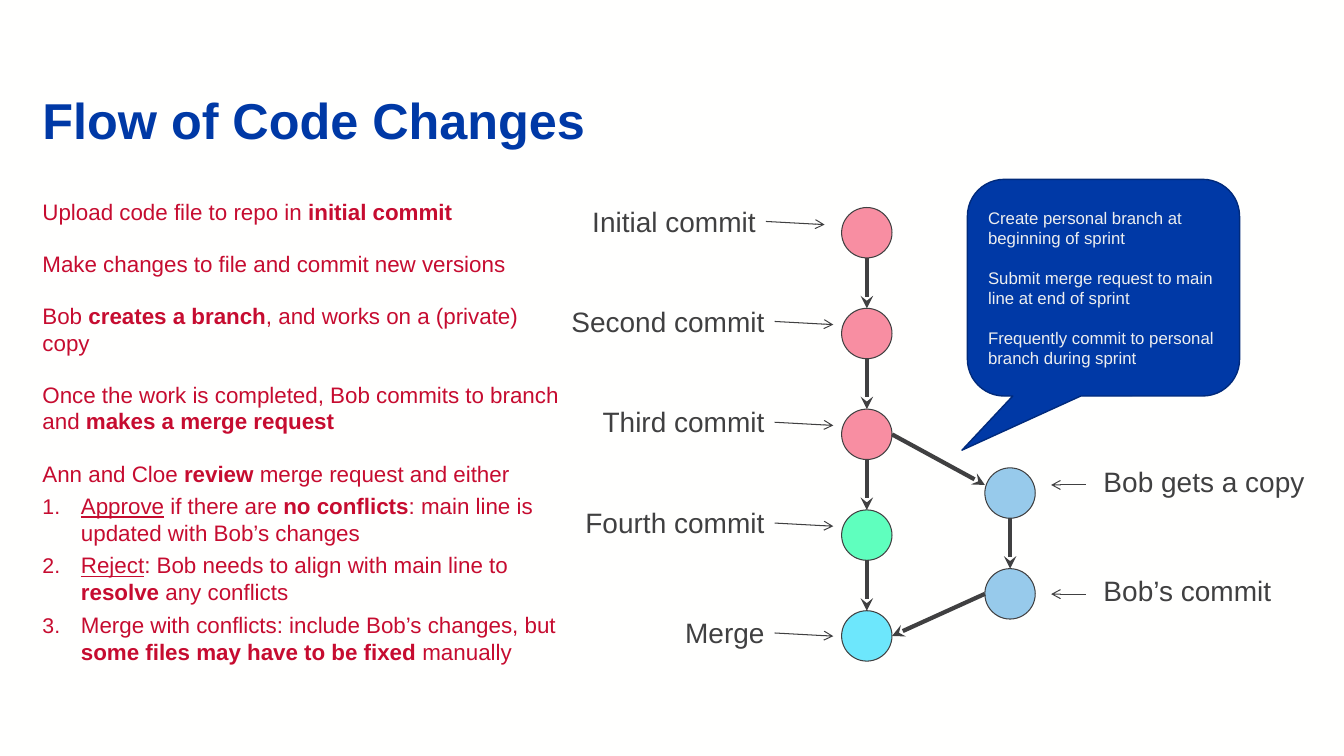
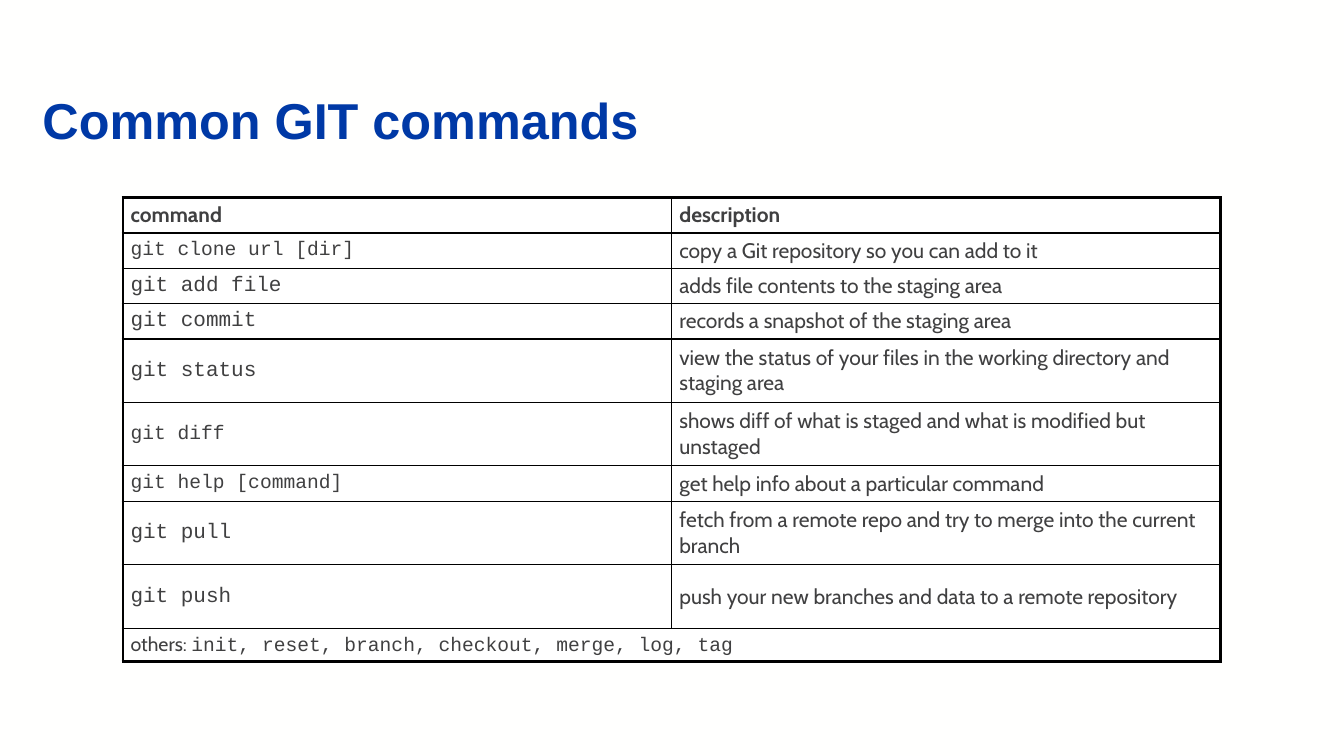
from typing import Any, NamedTuple

from lxml.etree import SubElement
from pptx import Presentation
from pptx.dml.color import RGBColor
from pptx.enum.shapes import MSO_CONNECTOR as Connector, MSO_SHAPE as Preset
from pptx.enum.text import MSO_ANCHOR as Anchor, MSO_AUTO_SIZE as AutoSize, PP_ALIGN as Align
from pptx.oxml.ns import qn
from pptx.util import Cm, Pt

PAPER = RGBColor(0xFF, 0xFF, 0xFE)
WHITE = RGBColor(0xFF, 0xFF, 0xFF)
BLACK = RGBColor(0x00, 0x00, 0x00)
BLUE = RGBColor(0x00, 0x39, 0xA6)
NAVY = RGBColor(0x00, 0x2A, 0x7B)
CRIMSON = RGBColor(0xC6, 0x0C, 0x30)
INK = RGBColor(0x40, 0x40, 0x41)
PALE = RGBColor(0xED, 0xEE, 0xEF)
PINK = RGBColor(0xF8, 0x8E, 0xA2)
GREEN = RGBColor(0x5F, 0xFF, 0xBE)
CYAN = RGBColor(0x6D, 0xE7, 0xFC)
SKY = RGBColor(0x97, 0xCA, 0xEB)

Format = dict[str, Any]
TITLE: Format = {"name": "Arial", "size": Pt(36), "bold": True, "color": BLUE}
BODY: Format = {"name": "Arial", "size": Pt(16), "color": CRIMSON}
LABEL: Format = {"name": "Arial", "size": Pt(20), "color": INK}
ADVICE: Format = {"name": "Arial", "size": Pt(12), "color": PALE}
CELL: Format = {"name": "Cabin", "size": Pt(15), "color": INK}
HEADING: Format = CELL | {"bold": True}
CODE: Format = CELL | {"name": "Courier New"}
BOLD: Format = {"bold": True}
UNDERLINE: Format = {"underline": True}
NO_MARGINS: Format = {f"margin_{side}": 0 for side in ("left", "top", "right", "bottom")}

LEFT_EDGE = 1.07
CONTENT_TOP = 4.98
DIAMETER = 1.27
RADIUS = DIAMETER / 2
STEP = 2.54
MAIN_LEFT, MAIN_TOP = 21.21, 5.23
BRANCH_LEFT, BRANCH_TOP = 24.82, 11.79
LABEL_HEIGHT = 1.12
THIN, THICK = 0.75, 3


class Span(NamedTuple):
    text: str
    style: Format = {}


class Item(NamedTuple):
    spans: list[Span]
    numbered: bool = False


class Commit(NamedTuple):
    label: str
    color: RGBColor
    label_edge: float
    label_width: float
    label_shift: float


class Command(NamedTuple):
    code: str
    description: str
    height: float = 0.89
    code_size: int = 15


class Point(NamedTuple):
    x: float
    y: float


STEPS = [
    Item([Span("Upload code file to repo in "), Span("initial commit", BOLD)]),
    Item([Span("Make changes to file and commit new versions")]),
    Item([Span("Bob "), Span("creates a branch", BOLD), Span(", and works on a (private) copy")]),
    Item([Span("Once the work is completed, Bob commits to branch and "),
          Span("makes a merge request", BOLD)]),
    Item([Span("Ann and Cloe "), Span("review", BOLD), Span(" merge request and either")]),
    Item([Span("Approve", UNDERLINE), Span(" if there are "), Span("no conflicts", BOLD),
          Span(": main line is updated with Bob’s changes")], True),
    Item([Span("Reject", UNDERLINE), Span(": Bob needs to align with main line to "),
          Span("resolve", BOLD), Span(" any conflicts")], True),
    Item([Span("Merge with conflicts: include Bob’s changes, but "),
          Span("some files may have to be fixed", BOLD), Span(" manually")], True),
]
MAIN_LINE = [
    Commit("Initial commit", PINK, 19.3, 5.92, -0.21),
    Commit("Second commit", PINK, 19.52, 6.14, -0.23),
    Commit("Third commit", PINK, 19.52, 6.14, -0.23),
    Commit("Fourth commit", GREEN, 19.52, 6.14, -0.23),
    Commit("Merge", CYAN, 19.52, 2.97, 0),
]
BRANCH = [
    Commit("Bob gets a copy", SKY, 27.56, 5.61, -0.21),
    Commit("Bob’s commit", SKY, 27.56, 4.78, 0),
]
SPRINT_ADVICE = [
    "Create personal branch at beginning of sprint",
    "Submit merge request to main line at end of sprint",
    "Frequently commit to personal branch during sprint",
]
COMMANDS = [
    Command("git clone url [dir]", "copy a Git repository so you can add to it", code_size=14),
    Command("git add file", "adds file contents to the staging area"),
    Command("git commit", "records a snapshot of the staging area"),
    Command("git status",
            "view the status of your files in the working directory and staging area", 1.6),
    Command("git diff", "shows diff of what is staged and what is modified but unstaged", 1.6, 14),
    Command("git help [command]", "get help info about a particular command", code_size=14),
    Command("git pull", "fetch from a remote repo and try to merge into the current branch", 1.6),
    Command("git push", "push your new branches and data to a remote repository", 1.6),
]


def set_values(target: Any, values: Format) -> None:
    for name, value in values.items():
        if name == "color":
            target.color.rgb = value
        else:
            setattr(target, name, value)


def place(shape: Any, left: float, top: float, width: float, height: float) -> None:
    box = {"left": left, "top": top, "width": width, "height": height}
    set_values(shape, {name: Cm(value) for name, value in box.items()})


def write(para: Any, spans: list[Span], base: Format) -> None:
    for span in spans:
        run = para.add_run()
        run.text = span.text
        set_values(run.font, base | span.style)


def add_para(frame: Any, position: int) -> Any:
    return frame.add_paragraph() if position else frame.paragraphs[0]


def add_page(deck: Any, layout: int, title: str) -> Any:
    page = deck.slides.add_slide(deck.slide_layouts[layout])
    place(page.shapes.title, LEFT_EDGE, 2.39, 31.75, 1.4)
    frame = page.shapes.title.text_frame
    set_values(frame, NO_MARGINS | {"vertical_anchor": Anchor.BOTTOM, "auto_size": AutoSize.NONE})
    para = frame.paragraphs[0]
    set_values(para, {"alignment": Align.LEFT, "line_spacing": 0.9})
    write(para, [Span(title)], TITLE)
    return page


def set_bullet(para: Any, numbered: bool) -> None:
    properties = para._p.get_or_add_pPr()
    indent = Cm(0.97) if numbered else 0
    properties.set("marL", str(indent))
    properties.set("indent", str(-indent))
    if numbered:
        SubElement(properties, qn("a:buSzPct"), val="95000")
        SubElement(properties, qn("a:buFont"), typeface="+mj-lt")
        SubElement(properties, qn("a:buAutoNum"), type="arabicPeriod")
    else:
        SubElement(properties, qn("a:buNone"))


def add_steps(page: Any) -> None:
    body = page.placeholders[1]
    place(body, LEFT_EDGE, CONTENT_TOP, 13.16, 11.99)
    set_values(body.text_frame, NO_MARGINS | {"auto_size": AutoSize.NONE})
    for position, item in enumerate(STEPS):
        para = add_para(body.text_frame, position)
        set_bullet(para, item.numbered)
        gap = 4 if item.numbered else 18
        set_values(para, {"space_before": Pt(gap if position else 0), "alignment": Align.LEFT})
        write(para, item.spans, BODY)


def add_shape(page: Any, preset: Any, left: float, top: float, width: float, height: float,
              fill: RGBColor, outline: RGBColor, weight: float) -> Any:
    shape = page.shapes.add_shape(preset, Cm(left), Cm(top), Cm(width), Cm(height))
    shape.shadow.inherit = False
    shape.fill.solid()
    shape.fill.fore_color.rgb = fill
    set_values(shape.line, {"color": outline, "width": Pt(weight)})
    return shape


def add_arrow(page: Any, start: Point, end: Point, weight: float, head: str) -> None:
    arrow = page.shapes.add_connector(
        Connector.STRAIGHT, Cm(start.x), Cm(start.y), Cm(end.x), Cm(end.y))
    set_values(arrow.line, {"color": INK, "width": Pt(weight)})
    properties = arrow._element.spPr
    SubElement(properties.find(qn("a:ln")), qn("a:tailEnd"), type=head)
    SubElement(properties, qn("a:effectLst"))


def add_label(page: Any, commit: Commit, top: float, on_left: bool) -> None:
    label_top = top + commit.label_shift
    left = commit.label_edge - (commit.label_width if on_left else 0)
    box = page.shapes.add_textbox(
        Cm(left), Cm(label_top), Cm(commit.label_width), Cm(LABEL_HEIGHT))
    set_values(box.text_frame, {"word_wrap": on_left, "auto_size": AutoSize.SHAPE_TO_FIT_TEXT})
    para = box.text_frame.paragraphs[0]
    para.alignment = Align.RIGHT if on_left else Align.LEFT
    write(para, [Span(commit.label)], LABEL)
    if on_left:
        start = Point(commit.label_edge, label_top + 0.56)
        end = Point(start.x + 1.48, start.y + 0.08)
    else:
        start = Point(commit.label_edge - 0.2, label_top + 0.64)
        end = Point(start.x - 0.87, start.y)
    add_arrow(page, start, end, THIN, "arrow")


def add_line_of_commits(page: Any, commits: list[Commit], left: float, first_top: float,
                        labels_on_left: bool) -> None:
    for position, commit in enumerate(commits):
        top = first_top + position * STEP
        add_shape(page, Preset.OVAL, left, top, DIAMETER, DIAMETER, commit.color, INK, THIN)
        add_label(page, commit, top, labels_on_left)
        if position:
            center = left + RADIUS
            add_arrow(page, Point(center, top - STEP + DIAMETER), Point(center, top),
                      THICK, "stealth")


def add_callout(page: Any) -> None:
    callout = add_shape(page, Preset.ROUNDED_RECTANGULAR_CALLOUT, 24.38, 4.52, 6.86, 5.46,
                        BLUE, NAVY, 1)
    for position, value in enumerate((-0.52, 0.75, 0.17)):
        callout.adjustments[position] = value
    set_values(callout.text_frame, {"word_wrap": True, "vertical_anchor": Anchor.MIDDLE})
    for position, advice in enumerate(SPRINT_ADVICE):
        para = add_para(callout.text_frame, position)
        set_values(para, {"alignment": Align.LEFT, "space_before": Pt(14 if position else 0)})
        write(para, [Span(advice)], ADVICE)


def add_flow_page(deck: Any) -> None:
    page = add_page(deck, 1, "Flow of Code Changes")
    add_steps(page)
    add_line_of_commits(page, MAIN_LINE, MAIN_LEFT, MAIN_TOP, True)
    add_line_of_commits(page, BRANCH, BRANCH_LEFT, BRANCH_TOP, False)
    main_right = MAIN_LEFT + DIAMETER
    third, merge = (Point(main_right, MAIN_TOP + row * STEP + RADIUS) for row in (2, 4))
    add_arrow(page, third, Point(BRANCH_LEFT, BRANCH_TOP + 0.43), THICK, "stealth")
    add_arrow(page, Point(BRANCH_LEFT, BRANCH_TOP + STEP + RADIUS), merge, THICK, "stealth")
    add_callout(page)


def fill_cell(cell: Any, spans: list[Span], outer: set[str]) -> None:
    properties = cell._tc.get_or_add_tcPr()
    for side in "LRTB":
        weight = Pt(2.25 if side in outer else 1)
        line = SubElement(properties, qn(f"a:ln{side}"), w=str(weight))
        SubElement(SubElement(line, qn("a:solidFill")), qn("a:srgbClr"), val=str(BLACK))
    cell.fill.solid()
    cell.fill.fore_color.rgb = WHITE
    set_values(cell, {"vertical_anchor": Anchor.MIDDLE, "margin_left": Cm(0.19),
                      "margin_right": Cm(0.19), "margin_top": Cm(0.1), "margin_bottom": Cm(0.1)})
    write(cell.text_frame.paragraphs[0], spans, CELL)


def add_commands_page(deck: Any) -> None:
    page = add_page(deck, 5, "Common GIT commands")
    small = {"size": Pt(14)}
    rows = [[Span("command", HEADING), Span("description", HEADING)]]
    rows += [[Span(command.code, CODE | {"size": Pt(command.code_size)}),
              Span(command.description)] for command in COMMANDS]
    heights = [0.89] + [command.height for command in COMMANDS] + [0.84]
    table = page.shapes.add_table(len(heights), 2, Cm(3.1), Cm(CONTENT_TOP), Cm(27.66),
                                  Cm(sum(heights))).table
    set_values(table, {"first_row": False, "horz_banding": False})
    for row, height in zip(table.rows, heights):
        row.height = Cm(height)
    for index, spans in enumerate(rows):
        top = set() if index else {"T"}
        for column, span in enumerate(spans):
            fill_cell(table.cell(index, column), [span], top | {"LR"[column]})
    last = len(rows)
    others = table.cell(last, 0)
    others.merge(table.cell(last, 1))
    fill_cell(others, [Span("others: ", small),
                       Span("init, reset, branch, checkout, merge, log, tag", CODE | small)],
              {"L", "R", "B"})
    fill_cell(table.cell(last, 1), [], {"R", "B"})


def main() -> None:
    deck = Presentation()
    set_values(deck, {"slide_width": Cm(33.87), "slide_height": Cm(19.05)})
    background = deck.slide_master.background.fill
    background.solid()
    background.fore_color.rgb = PAPER
    add_flow_page(deck)
    add_commands_page(deck)
    deck.save("out.pptx")


if __name__ == "__main__":
    main()
